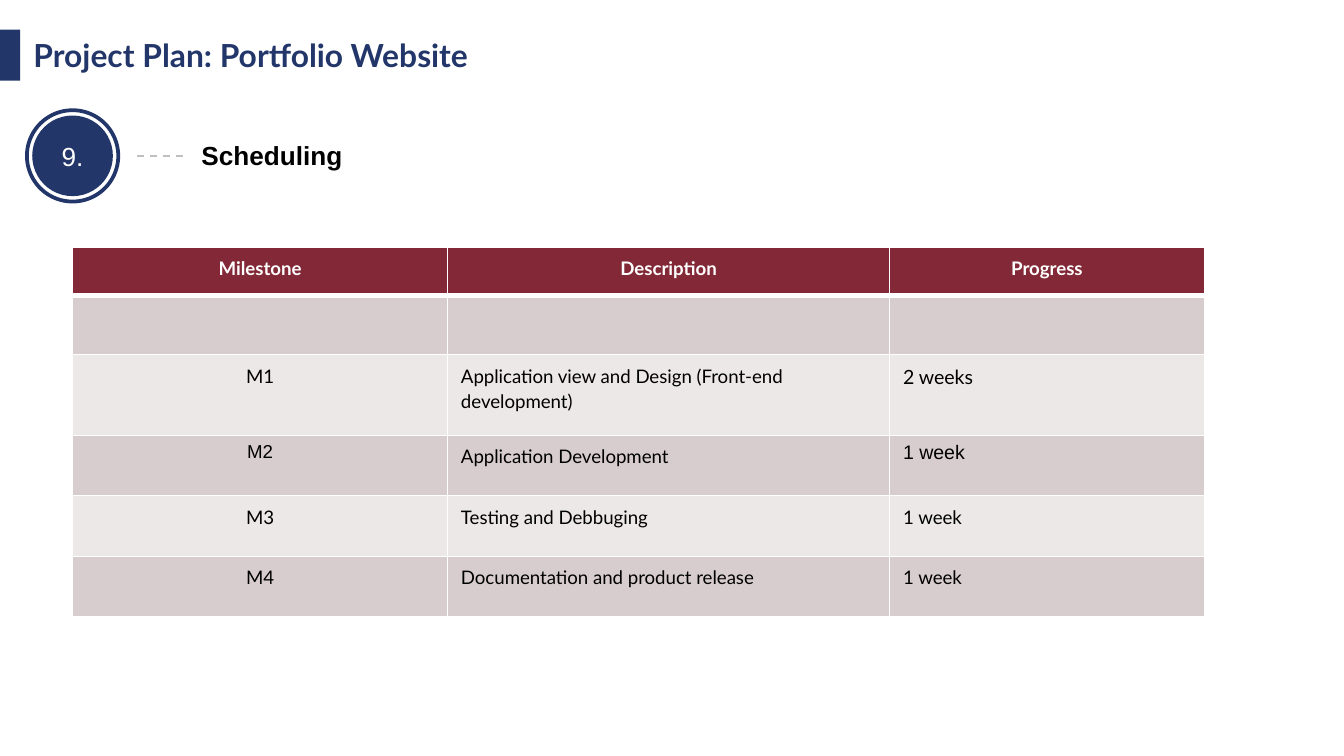
from lxml import etree
from pptx import Presentation
from pptx import util as u
from pptx.dml.color import RGBColor
from pptx.enum import dml, shapes, text
from pptx.oxml import ns

COLORS = {
    "navy": "22366A", "badge": "223669", "maroon": "822836", "dark band": "D8CDCE",
    "light band": "EDE8E8", "dash": "BFBFBF", "white": "FFFFFF", "black": "000000",
}
LATO, ARIAL = "Lato", "Arial"
CENTER, LEFT = text.PP_ALIGN.CENTER, text.PP_ALIGN.LEFT


def write(frame, words, size, font, color, bold=False, align=LEFT, spacing=None):
    """Put one styled paragraph into a text frame."""
    frame.word_wrap = True
    paragraph = frame.paragraphs[0]
    paragraph.text = words
    paragraph.alignment = align
    if spacing:
        paragraph.line_spacing = spacing
    paragraph.font.size = u.Pt(size)
    paragraph.font.name = font
    paragraph.font.bold = bold
    paragraph.font.color.rgb = RGBColor.from_string(COLORS[color])


def set_borders(cell, widths):
    """Give a cell white borders; widths are points by side, in L, R, T, B order."""
    properties = cell._tc.get_or_add_tcPr()
    for side, width in widths.items():
        line = etree.SubElement(properties, ns.qn(f"a:ln{side}"), w=str(u.Pt(width)))
        fill = etree.SubElement(line, ns.qn("a:solidFill"))
        etree.SubElement(fill, ns.qn("a:srgbClr"), val=COLORS["white"])


presentation = Presentation()
presentation.slide_width = u.Inches(10)
presentation.slide_height = u.Inches(10 * 9 / 16)
slide = presentation.slides.add_slide(presentation.slide_layouts[6])

# Title with its accent bar
bar = slide.shapes.add_shape(
    shapes.MSO_SHAPE.RECTANGLE, 0, u.Inches(0.22), u.Inches(0.15), u.Inches(0.38))
bar.shadow.inherit = False
bar.fill.solid()
bar.fill.fore_color.rgb = RGBColor.from_string(COLORS["navy"])
bar.line.fill.background()

title = slide.shapes.add_textbox(
    u.Inches(0.15), u.Inches(0.22), u.Inches(8.62), u.Inches(0.38))
title.text_frame.vertical_anchor = text.MSO_ANCHOR.MIDDLE
write(title.text_frame, "Project Plan: Portfolio Website", 17, LATO, "navy", bold=True)

# Schedule table: each cell is words, size, font, line spacing
header = ["Milestone", "Description", "Progress"]
milestones = [
    [],
    [("M1", 10, LATO, 1.15),
     ("Application view and Design (Front-end development)", 10, LATO, 1.15),
     ("2 weeks", 10.5, LATO, 1.15)],
    [("M2", 10, ARIAL, None),
     ("Application Development", 10, LATO, 1.15),
     ("1 week", 10.5, ARIAL, None)],
    [("M3", 10, LATO, 1.15),
     ("Testing and Debbuging", 10, LATO, 1.15),
     ("1 week", 10, LATO, 1.15)],
    [("M4", 10, LATO, 1.15),
     ("Documentation and product release", 10, LATO, 1.15),
     ("1 week", 10, LATO, 1.15)],
]
rows = [[(name, 10, LATO, 1.15) for name in header]] + milestones
table = slide.shapes.add_table(
    len(rows), len(header),
    u.Inches(0.54), u.Inches(1.84), u.Inches(8.42), u.Inches(2.75)).table
for column, width in zip(table.columns, [2.79, 3.29, 2.34]):
    column.width = u.Inches(width)
for row, height in zip(table.rows, [0.36, 0.44, 0.6, 0.45, 0.45, 0.45]):
    row.height = u.Inches(height)

for r, row in enumerate(rows):
    band = "maroon" if r == 0 else "dark band" if r % 2 else "light band"
    for c in range(len(header)):
        cell = table.cell(r, c)
        set_borders(cell, {"L": 0.75, "R": 0.75,
                           "T": 3 if r == 1 else 0.75, "B": 3 if r == 0 else 0.75})
        cell.fill.solid()
        cell.fill.fore_color.rgb = RGBColor.from_string(COLORS[band])
        if row:
            words, size, font, spacing = row[c]
            write(cell.text_frame, words, size, font, "white" if r == 0 else "black",
                  bold=r == 0, align=CENTER if r == 0 or c == 0 else LEFT,
                  spacing=spacing)

# Numbered badge: a filled disc inside a ring
disc, ring = [
    slide.shapes.add_shape(shapes.MSO_SHAPE.OVAL, u.Inches(left), u.Inches(top),
                           u.Inches(size), u.Inches(size))
    for left, top, size in [(0.24, 0.86, 0.6), (0.2, 0.82, 0.68)]]
disc.shadow.inherit = ring.shadow.inherit = False
disc.fill.solid()
disc.fill.fore_color.rgb = RGBColor.from_string(COLORS["badge"])
disc.line.fill.background()
disc.text_frame.vertical_anchor = text.MSO_ANCHOR.MIDDLE
write(disc.text_frame, "9.", 14, ARIAL, "white", align=CENTER)
ring.fill.background()
ring.line.color.rgb = RGBColor.from_string(COLORS["badge"])
ring.line.width = u.Pt(2)

dash = slide.shapes.add_connector(
    shapes.MSO_CONNECTOR.STRAIGHT,
    u.Inches(1.02), u.Inches(1.16), u.Inches(1.4), u.Inches(1.16))
dash.line.color.rgb = RGBColor.from_string(COLORS["dash"])
dash.line.width = u.Pt(1)
dash.line.dash_style = dml.MSO_LINE.DASH
etree.SubElement(dash._element.spPr, ns.qn("a:effectLst"))

heading = slide.shapes.add_textbox(
    u.Inches(1.4), u.Inches(0.99), u.Inches(7.37), u.Inches(0.34))
heading.text_frame.auto_size = text.MSO_AUTO_SIZE.SHAPE_TO_FIT_TEXT
write(heading.text_frame, "Scheduling", 14, ARIAL, "black", bold=True)

presentation.save("out.pptx")
